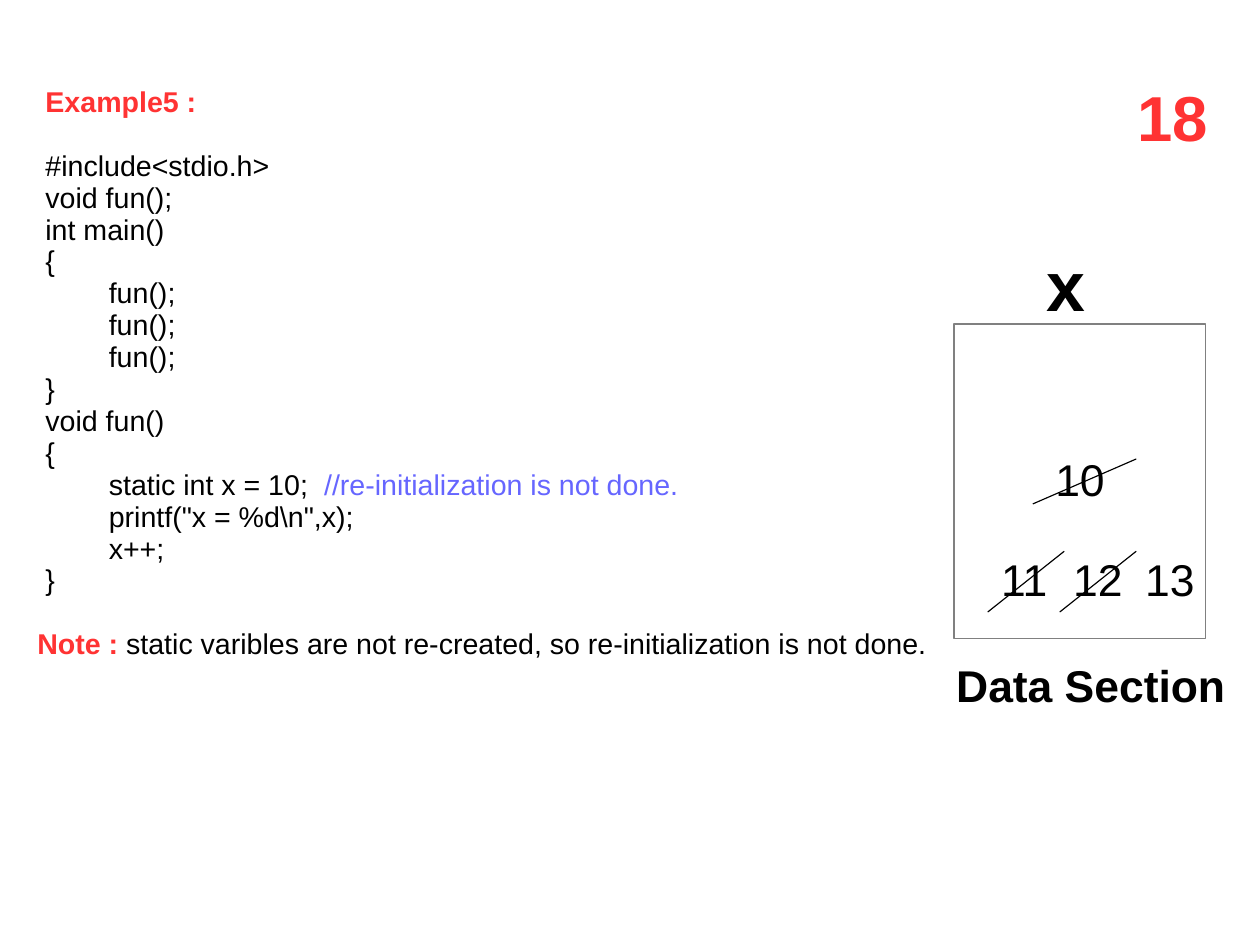
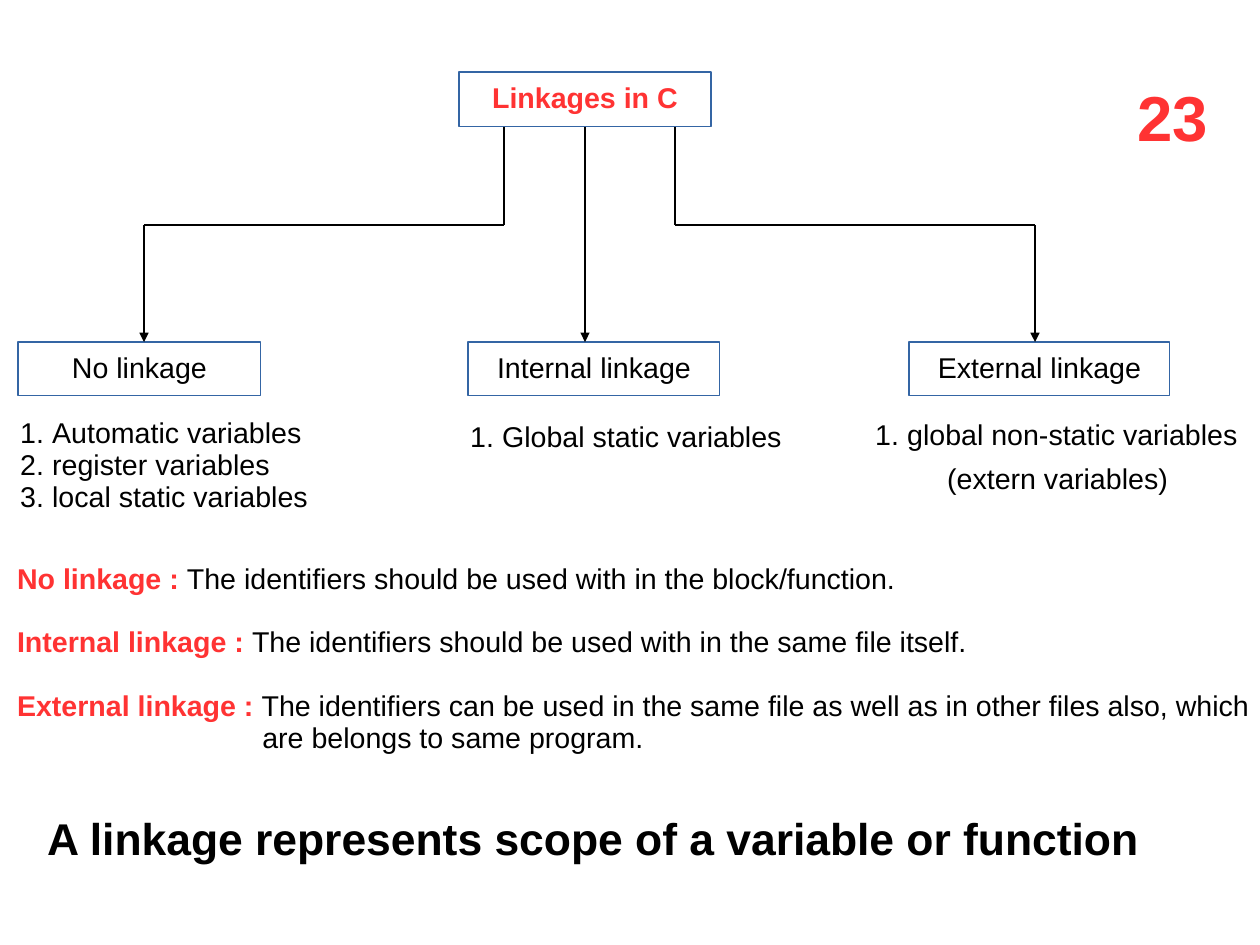
from lxml import etree
from pptx import Presentation
from pptx.dml.color import RGBColor
from pptx.enum.shapes import MSO_CONNECTOR, MSO_SHAPE
from pptx.enum.text import MSO_ANCHOR, MSO_AUTO_SIZE, PP_ALIGN
from pptx.oxml.ns import qn
from pptx.util import Cm, Pt

BLACK = RGBColor(0x00, 0x00, 0x00)
WHITE = RGBColor(0xFF, 0xFF, 0xFF)
RED = RGBColor(0xFF, 0x33, 0x33)
VIOLET = RGBColor(0x66, 0x66, 0xFF)
GREY = RGBColor(0x80, 0x80, 0x80)
BLUE = RGBColor(0x34, 0x65, 0xA4)

LEFT, CENTER = PP_ALIGN.LEFT, PP_ALIGN.CENTER
TOP, MIDDLE = MSO_ANCHOR.TOP, MSO_ANCHOR.MIDDLE
NO_FIT = MSO_AUTO_SIZE.NONE
RECT = MSO_SHAPE.RECTANGLE
STRAIGHT = MSO_CONNECTOR.STRAIGHT

FONT = "Arial"
BODY, BIG, PAGE, NAME = 18, 28, 40, 44
TITLE_ONLY = 5

CODE = """#include<stdio.h>
void fun();
int main()
{
        fun();
        fun();
        fun();
}
void fun()
{
        static int x = 10;  //re-initialization is not done.
        printf("x = %d\\n",x);
        x++;
}"""

DEFS = [
    ("No linkage : ",
     "The identifiers should be used with in the block/function."),
    ("Internal linkage : ",
     "The identifiers should be used with in the same file itself."),
    ("External linkage : ",
     "The identifiers can be used in the same file as well as in other "
     "files also, which are belongs to same program."),
]


def set_frame(shape, anchor=TOP):
    frame = shape.text_frame
    frame.word_wrap = True
    frame.auto_size = NO_FIT
    frame.vertical_anchor = anchor
    frame.margin_left = frame.margin_right = Cm(0.25)
    frame.margin_top = frame.margin_bottom = Cm(0.13)
    return frame


def add_para(frame, runs, size=BODY, align=LEFT, before=0, left=0, hang=0,
             number=False):
    """Add a paragraph of (text, colour, bold) runs; indents are in cm."""
    first = not frame.paragraphs[0].runs
    para = frame.paragraphs[0] if first else frame.add_paragraph()
    props = para._p.get_or_add_pPr()
    props.set("marL", str(Cm(left)))
    props.set("indent", str(-Cm(hang)))
    if number:
        etree.SubElement(props, qn("a:buAutoNum"), type="arabicPeriod")
    para.alignment = align
    para.line_spacing = 0.93
    para.space_before = Pt(before)
    for text, color, bold in runs:
        run = para.add_run()
        run.text = text
        font = run.font
        font.name, font.size, font.bold = FONT, Pt(size), bold
        font.color.rgb = color


def add_box(slide, x, y, w, h):
    box = slide.shapes.add_textbox(Cm(x), Cm(y), Cm(w), Cm(h))
    return set_frame(box)


def add_label(slide, text, x, y, w, h, size=BODY, color=BLACK, bold=False):
    add_para(add_box(slide, x, y, w, h), [(text, color, bold)], size)


def style_box(shape, edge):
    shape.fill.solid()
    shape.fill.fore_color.rgb = WHITE
    shape.line.color.rgb = edge
    shape.line.width = Pt(0.75)


def add_rect(slide, text, x, y, w, h, edge, size=BODY):
    rect = slide.shapes.add_shape(RECT, Cm(x), Cm(y), Cm(w), Cm(h))
    rect.shadow.inherit = False
    style_box(rect, edge)
    add_para(set_frame(rect, MIDDLE), [(text, BLACK, False)], size, CENTER)


def add_line(slide, x1, y1, x2, y2, arrow=False):
    line = slide.shapes.add_connector(STRAIGHT, Cm(x1), Cm(y1), Cm(x2), Cm(y2))
    line.line.color.rgb = BLACK
    line.line.width = Pt(0.75)
    if arrow:
        etree.SubElement(line.line._get_or_add_ln(), qn("a:tailEnd"),
                         type="triangle")
    etree.SubElement(line._element.spPr, qn("a:effectLst"))


def add_slide(deck, title, page, x, y, w, h, align=LEFT, anchor=TOP):
    """Start a slide with its red title and page number."""
    slide = deck.slides.add_slide(deck.slide_layouts[TITLE_ONLY])
    head = slide.shapes.title
    head.left, head.top, head.width, head.height = Cm(x), Cm(y), Cm(w), Cm(h)
    add_para(set_frame(head, anchor), [(title, RED, True)], align=align)
    add_label(slide, page, 25.03, 1.75, 2.3, 1.95, PAGE, RED, True)
    return slide


def add_code(slide, x, y, w, h):
    frame = add_box(slide, x, y, w, h)
    for row in CODE.split("\n"):
        code, mark, note = row.partition("//")
        runs = [(code, BLACK, False)]
        if mark:
            runs.append((mark + note, VIOLET, False))
        add_para(frame, runs)


def add_list(slide, items, x, y, w, h):
    frame = add_box(slide, x, y, w, h)
    for item in items:
        add_para(frame, [(item, BLACK, False)], left=0.71, hang=0.71,
                 number=True)
    return frame


def make_static(deck):
    slide = add_slide(deck, "Example5 :", "18", 0.76, 1.8, 8, 1)
    add_code(slide, 0.76, 3.22, 19, 10.4)
    note = add_box(slide, 0.58, 13.85, 20.6, 1)
    add_para(note, [
        ("Note : ", RED, True),
        ("static varibles are not re-created, so re-initialization "
         "is not done.", BLACK, False)])

    add_rect(slide, "10", 21.2, 7.2, 5.6, 7, GREY, BIG)
    add_line(slide, 25.25, 10.2, 22.95, 11.2)
    for i, value in enumerate(("11", "12", "13")):
        shift = 1.6 * i
        add_label(slide, value, 22 + shift, 12.25, 2, 1.35, BIG)
        if value != "13":
            add_line(slide, 23.65 + shift, 12.25, 21.95 + shift, 13.6)
    add_label(slide, "x", 23, 5.41, 1.6, 2, NAME, bold=True)
    add_label(slide, "Data Section", 21, 14.6, 6.9, 1.35, BIG, bold=True)


def make_linkage(deck):
    slide = add_slide(deck, "Linkages in C", "23", 10.2, 1.6, 5.6, 1.22,
                      CENTER, MIDDLE)
    style_box(slide.shapes.title, BLUE)
    foot, bend, top = 2.82, 5, 7.6
    for text, x, w in (("No linkage", 0.4, 5.4),
                       ("Internal linkage", 10.4, 5.6),
                       ("External linkage", 20.2, 5.8)):
        add_rect(slide, text, x, top, w, 1.2, BLUE)
    add_line(slide, 13, foot, 13, top, arrow=True)
    for start, end in ((11.2, 3.2), (15, 23)):
        add_line(slide, start, foot, start, bend)
        add_line(slide, start, bend, end, bend)
        add_line(slide, end, bend, end, top, arrow=True)

    add_list(slide, ("Automatic variables", "register variables",
                     "local static variables"), 0.2, 9.17, 7.2, 2.45)
    add_list(slide, ("Global static variables",), 10.2, 9.25, 7.8, 1)
    outer = add_list(slide, ("global non-static variables",),
                     19.2, 9.2, 8.75, 2.05)
    add_para(outer, [("(extern variables)", BLACK, False)], before=8, left=1.6)

    frame = add_box(slide, 0.13, 12.4, 27.86, 4.55)
    frame.margin_right = 0
    for i, (term, text) in enumerate(DEFS):
        add_para(frame, [(term, RED, True), (text, BLACK, False)],
                 before=20 if i else 0, left=5.45, hang=5.45)
    add_label(slide, "A linkage represents scope of a variable or function",
              0.8, 18, 25.5, 1.35, BIG, bold=True)


def main():
    deck = Presentation()
    deck.slide_width, deck.slide_height = Cm(28), Cm(21)
    make_static(deck)
    make_linkage(deck)
    deck.save("out.pptx")


if __name__ == "__main__":
    main()
